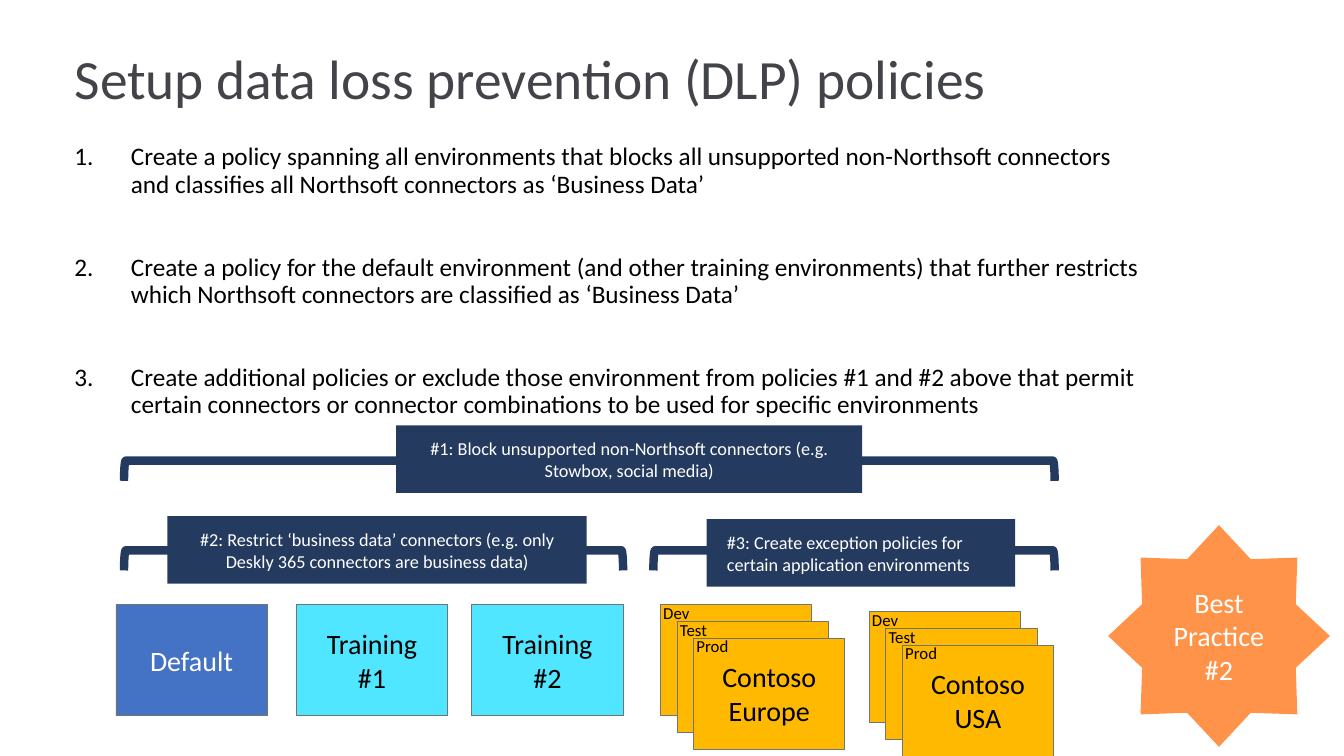
from lxml import etree
from pptx import Presentation
from pptx.dml.color import RGBColor
from pptx.enum.shapes import MSO_SHAPE
from pptx.enum.text import MSO_ANCHOR, MSO_AUTO_SIZE, PP_ALIGN
from pptx.oxml.ns import qn
from pptx.util import Inches, Pt

RECT, STAR, BRACKET = MSO_SHAPE.RECTANGLE, MSO_SHAPE.STAR_8_POINT, MSO_SHAPE.LEFT_BRACKET
LEFT, CENTER = PP_ALIGN.LEFT, PP_ALIGN.CENTER
TOP, MIDDLE = MSO_ANCHOR.TOP, MSO_ANCHOR.MIDDLE

FONT = "Calibri"
BLACK, WHITE, NAVY, GRAY = "000000", "FFFFFF", "243A5E", "737373"
BLUE, CYAN, GOLD, ORANGE = "4472C4", "50E6FF", "FFB900", "FF9349"

TITLE = "Setup data loss prevention (DLP) policies"
STEPS = [
    "Create a policy spanning all environments that blocks all unsupported non-Northsoft connectors "
    "and classifies all Northsoft connectors as ‘Business Data’",
    "Create a policy for the default environment (and other training environments) that further "
    "restricts which Northsoft connectors are classified as ‘Business Data’",
    "Create additional policies or exclude those environment from policies #1 and #2 above that permit "
    "certain connectors or connector combinations to be used for specific environments",
]
BADGE = ["Best", "Practice", "#2"]
# left, text, fill, text color
ROOMS = [
    (1.15, "Default", BLUE, WHITE),
    (2.94, "Training #1", CYAN, BLACK),
    (4.68, "Training #2", CYAN, BLACK),
]
# left, top, text of the front card
STACKS = [(6.55, 6, "Contoso Europe"), (8.62, 6.07, "Contoso USA")]
STAGES = ["Dev", "Test", "Prod"]
# left, top, width of each bracket
SPANS = [(1.23, 4.57, 9.23), (1.23, 5.46, 4.95), (6.48, 5.46, 3.98)]
# left, top, width, text, alignment
RULES = [
    (3.93, 4.22, 4.62, "#1: Block unsupported non-Northsoft connectors (e.g. Stowbox, social media)", CENTER),
    (1.66, 5.12, 4.16, "#2: Restrict ‘business data’ connectors (e.g. only Deskly 365 connectors are "
                       "business data)", CENTER),
    (7.01, 5.15, 3.06, "#3: Create exception policies for certain application environments", LEFT),
]
CARD_W, CARD_H = 1.5, 1.1
STEP = 0.165      # offset between stacked cards
LIFT = 0.07       # offset of a stage label from its card
RULE_H, ARM = 0.67, 0.2


def rgb(code):
    return RGBColor.from_string(code)


def write(frame, lines, size, color, align=LEFT, anchor=TOP):
    frame.word_wrap = True
    frame.vertical_anchor = anchor
    for i, line in enumerate(lines):
        para = frame.add_paragraph() if i else frame.paragraphs[0]
        para.text = line
        para.alignment = align
        para.font.name, para.font.size = FONT, Pt(size)
        para.font.color.rgb = rgb(color)


def place(shape, left, top, width, height):
    shape.left, shape.top = Inches(left), Inches(top)
    shape.width, shape.height = Inches(width), Inches(height)


def draw(kind, left, top, width, height, fill=None, line=None, weight=0.5):
    shape = slide.shapes.add_shape(kind, Inches(left), Inches(top), Inches(width), Inches(height))
    shape.shadow.inherit = False
    if fill:
        shape.fill.solid()
        shape.fill.fore_color.rgb = rgb(fill)
    else:
        shape.fill.background()
    if line:
        shape.line.color.rgb = rgb(line)
        shape.line.width = Pt(weight)
    else:
        shape.line.fill.background()
    frame = shape.text_frame
    frame.margin_left = frame.margin_right = Inches(0.2)
    frame.margin_top = frame.margin_bottom = Inches(0.16)
    return shape


def card(left, top, fill):
    return draw(RECT, left, top, CARD_W, CARD_H, fill, GRAY)


def label(left, top, width, height, lines, size):
    box = slide.shapes.add_textbox(Inches(left), Inches(top), Inches(width), Inches(height))
    write(box.text_frame, lines, size, BLACK)
    return box.text_frame


def number(para):
    props = para._p.get_or_add_pPr()
    props.set("marL", str(Inches(0.56)))
    props.set("indent", str(-Inches(0.56)))
    etree.SubElement(props, qn("a:buFont"), typeface="+mj-lt")
    etree.SubElement(props, qn("a:buAutoNum"), type="arabicPeriod")


def stack(left, top, name):
    """Draw overlapping cards, then a stage label on each."""
    spots = [(left + i * STEP, top + i * STEP) for i in range(len(STAGES))]
    for x, y in spots:
        front = card(x, y, GOLD)
    write(front.text_frame, [name], 20, BLACK, CENTER, MIDDLE)
    for (x, y), stage in zip(spots, STAGES):
        label(x - LIFT, y - LIFT, CARD_W, CARD_H, [stage], 12)


def bracket(left, top, width):
    """Turn a left bracket so that it opens downward."""
    shape = draw(BRACKET, left + (width - ARM) / 2, top - (width - ARM) / 2, ARM, width,
                 line=NAVY, weight=6)
    shape.rotation = 90


deck = Presentation()
deck.slide_width, deck.slide_height = Inches(13.33), Inches(7.5)
slide = deck.slides.add_slide(deck.slide_layouts[5])

title = slide.shapes.title
place(title, 0.64, 0.5, 12.05, 0.61)
write(title.text_frame, [TITLE], 39.6, "43444A", anchor=MIDDLE)
title.text_frame.auto_size = MSO_AUTO_SIZE.NONE
title.text_frame.paragraphs[0].line_spacing = 0.9

steps = label(0.64, 1.38, 10.78, 2.67, STEPS, 18)
for i, para in enumerate(steps.paragraphs):
    para.line_spacing = 0.9
    para.space_before = Pt(40 if i else 0)
    number(para)

badge = draw(STAR, 10.99, 5.21, 2.2, 2.2, ORANGE).text_frame
badge.margin_top = Inches(0.26)
write(badge, BADGE, 20, WHITE, CENTER)

for left, name, fill, color in ROOMS:
    write(card(left, 6, fill).text_frame, [name], 20, color, CENTER, MIDDLE)
for item in STACKS:
    stack(*item)
for span in SPANS:
    bracket(*span)
for left, top, width, text, align in RULES:
    rule = draw(RECT, left, top, width, RULE_H, NAVY)
    write(rule.text_frame, [text], 13, WHITE, align, MIDDLE)

deck.save("out.pptx")
